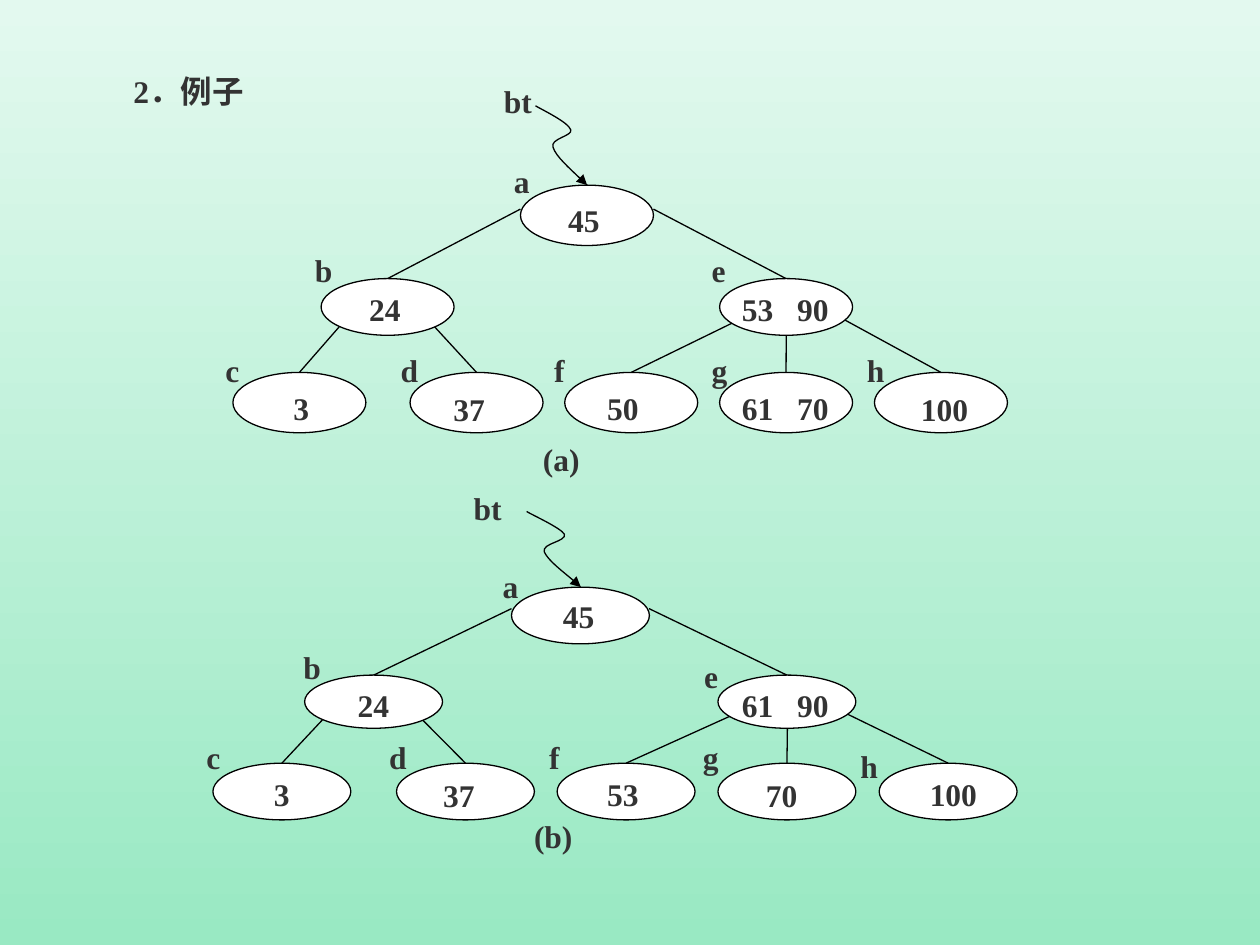
from lxml import etree
from pptx import Presentation
from pptx import util as u
from pptx.dml import color
from pptx.enum import shapes, text
from pptx.oxml import ns

Pt = u.Pt
COLORS = {"ink": "333333", "line": "000000", "node": "FFFFFF",
          "top": "E3F9EF", "bottom": "99E9C3"}
RGB = {name: color.RGBColor.from_string(value) for name, value in COLORS.items()}
FONT = {"name": "Times New Roman", "size": Pt(18), "bold": True}
FRAME = {"word_wrap": True, "auto_size": text.MSO_AUTO_SIZE.NONE,
         "vertical_anchor": text.MSO_ANCHOR.MIDDLE,
         "margin_left": Pt(7.2), "margin_right": Pt(7.2),
         "margin_top": Pt(3.6), "margin_bottom": Pt(3.6)}
LABEL_HEIGHT = 29
WIDTHS = {"a": 28, "b": 29, "c": 26.6, "d": 29, "e": 26.6, "f": 24.5, "g": 28,
          "h": 29, "bt": 34.6, "3": 24, "100": 46, "(a)": 39.6, "(b)": 41}
NUMBER_WIDTH, PAIR_WIDTH, PAIR_TAB = 36.7, 68.4, 31.5

# Node rows: parent, left, letter position, value, value position, line start
TREES = [
    {"width": 76, "heights": {"leaf": 34.5, "middle": 32.4, "root": 34.5},
     "tops": {"leaf": 212.8, "middle": 159.2, "root": 105.8},
     "leaf": {
         "c": (133.1, (121.7, 196.9), "3", (160.6, 218.5), (196.6, 183.6)),
         "d": (234.3, (221.8, 196.9), "37", (252, 218.9), (244.8, 182.9)),
         "f": (322.7, (309.6, 196.9), "50", (339.8, 218.5), (423.4, 182.2)),
         "g": (411.2, (399.6, 196.9), "61\t70", (416.9, 218.5), (449.3, 186.5)),
         "h": (499.7, (488.2, 196.9), "100", (519.1, 218.9), (478.8, 180.7))},
     "middle": {
         "b": (183.5, (172.8, 139.7), "24", (203.8, 162), (297.4, 119.5)),
         "e": (411.2, (399.6, 139.7), "53\t90", (416.9, 162), (373.4, 119.5))},
     "root": {"a": (297.4, (286.6, 88.6), "45", (317.5, 111), None)},
     "pointer": (280.8, 43.2), "caption": ("(a)", 303.1, 247.7),
     "curve": [(4.25, 0.84), (4.3, 0.87), (4.51, 0.97), (4.53, 1.03), (4.55, 1.08),
               (4.36, 1.1), (4.39, 1.17), (4.41, 1.24), (4.6, 1.41), (4.66, 1.47)]},
    {"width": 78.8, "heights": {"leaf": 32.4, "middle": 30.4, "root": 32.4},
     "tops": {"leaf": 436.1, "middle": 385.8, "root": 335.5},
     "leaf": {
         "c": (121.7, (110.9, 417.8), "3", (149.4, 439.4), (187.2, 408.2)),
         "d": (226.6, (215.3, 417.8), "37", (246.2, 439.9), (237.6, 407.5)),
         "f": (318.4, (306.7, 417.8), "53", (339.8, 439.2), (422.6, 406.8)),
         "g": (410.3, (394.6, 417.8), "70", (430.6, 439.9), (450, 411.1)),
         "h": (502.4, (484.6, 423.4), "100", (524.2, 439.4), (480.2, 406.1))},
     "middle": {
         "b": (174.1, (166.3, 366.5), "24", (197.3, 388.1), (292.3, 347.8)),
         "e": (410.3, (395.3, 371.5), "61\t90", (416.9, 388.1), (370.9, 347.8))},
     "root": {"a": (292.3, (280.1, 320.4), "45", (314.6, 337.7), None)},
     "pointer": (263.5, 275.8), "caption": ("(b)", 298.1, 463),
     "curve": [(4.18, 4.06), (4.23, 4.09), (4.45, 4.19), (4.48, 4.24), (4.5, 4.3),
               (4.3, 4.31), (4.32, 4.38), (4.35, 4.45), (4.55, 4.6), (4.61, 4.66)]},
]


def write_label(box, words):
    frame = box.text_frame
    for name, value in FRAME.items():
        setattr(frame, name, value)
    para = frame.paragraphs[0]
    para.alignment = text.PP_ALIGN.LEFT
    if "\t" in words:
        tabs = etree.SubElement(para._p.get_or_add_pPr(), ns.qn("a:tabLst"))
        etree.SubElement(tabs, ns.qn("a:tab"), pos=str(Pt(PAIR_TAB)), algn="l")
    span = para.add_run()
    span.text = words
    for name, value in FONT.items():
        setattr(span.font, name, value)
    span.font.color.rgb = RGB["ink"]


def draw_outline(item):
    item.line.color.rgb = RGB["line"]
    item.line.width = Pt(0.75)
    etree.SubElement(item.element.spPr, ns.qn("a:effectLst"))


deck = Presentation()
deck.slide_width, deck.slide_height = Pt(720), Pt(540)
page = deck.slides.add_slide(deck.slide_layouts[5])

# Background
fill = page.background.fill
fill.gradient()
fill.gradient_angle = 270
for stop, position, name in zip(fill.gradient_stops, (0, 1), ("top", "bottom")):
    stop.position = position
    stop.color.rgb = RGB[name]

# Title
title = page.shapes.title
title.left, title.top, title.width, title.height = Pt(69), Pt(37.5), Pt(86), Pt(29)
write_label(title, "2．例子")

for tree in TREES:
    labels = [("bt", *tree["pointer"]), tree["caption"]]

    # Nodes and their lines, from the bottom level up
    for level in ("leaf", "middle", "root"):
        lines = []
        for letter, (left, letter_at, value, value_at, start) in tree[level].items():
            node = page.shapes.add_shape(
                shapes.MSO_SHAPE.OVAL, Pt(left), Pt(tree["tops"][level]),
                Pt(tree["width"]), Pt(tree["heights"][level]))
            node.fill.solid()
            node.fill.fore_color.rgb = RGB["node"]
            draw_outline(node)
            labels += [(letter, *letter_at), (value, *value_at)]
            if start:
                lines.append((node, start))
        for node, (x, y) in lines:
            line = page.shapes.add_connector(
                shapes.MSO_CONNECTOR.STRAIGHT, Pt(x), Pt(y), Pt(x), Pt(y))
            line.end_connect(node, 0)
            draw_outline(line)

    # Curved pointer to the root: each three points make one cubic segment
    points = [(Pt(72 * x), Pt(72 * y)) for x, y in tree["curve"]]
    builder = page.shapes.build_freeform(*points[0])
    builder.add_line_segments(points[1:], close=False)
    pointer = builder.convert_to_shape()
    pointer.fill.background()
    draw_outline(pointer)
    etree.SubElement(pointer.element.xpath(".//a:ln")[0], ns.qn("a:tailEnd"),
                     type="triangle")
    route = pointer.element.xpath(".//a:path")[0]
    steps = route.findall(ns.qn("a:lnTo"))
    for first in range(0, len(steps), 3):
        bend = etree.SubElement(route, ns.qn("a:cubicBezTo"))
        for step in steps[first:first + 3]:
            bend.append(step[0])
            route.remove(step)

    # Letters, values, pointer name and caption
    for words, x, y in labels:
        width = WIDTHS.get(words, PAIR_WIDTH if "\t" in words else NUMBER_WIDTH)
        box = page.shapes.add_textbox(Pt(x), Pt(y), Pt(width), Pt(LABEL_HEIGHT))
        write_label(box, words)

deck.save("out.pptx")
